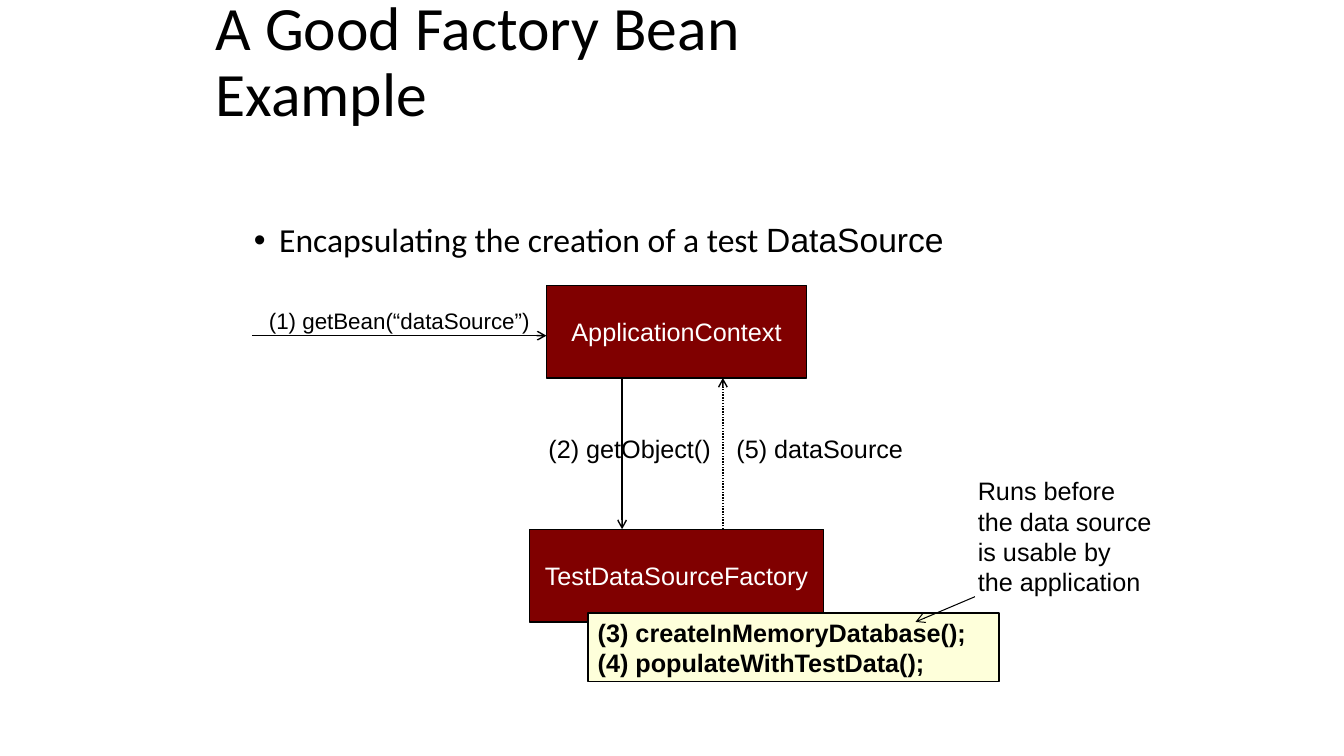
from lxml.etree import SubElement
from pptx import Presentation
from pptx.dml.color import RGBColor
from pptx.enum.dml import MSO_LINE
from pptx.enum.shapes import MSO_CONNECTOR, MSO_SHAPE
from pptx.enum.text import MSO_ANCHOR, PP_ALIGN
from pptx.oxml.ns import qn
from pptx.util import Inches, Pt

BLACK = RGBColor(0x00, 0x00, 0x00)
WHITE = RGBColor(0xFF, 0xFF, 0xFF)
MAROON = RGBColor(0x80, 0x00, 0x00)
CREAM = RGBColor(0xFE, 0xFF, 0xDA)


class Deck:
    """Holds the text style and the current slide, and adds elements to it."""

    style = {"name": "Arial", "size": Pt(18), "bold": False}

    def __init__(self, prs):
        self.s = prs.slides.add_slide(prs.slide_layouts[6])

    def fill_text(self, tf, lines, color=BLACK, wrap=True, anchor=MSO_ANCHOR.TOP, para=None, **style):
        tf.word_wrap, tf.vertical_anchor = wrap, anchor
        for i, line in enumerate(lines):
            p = tf.add_paragraph() if i else tf.paragraphs[0]
            for key, value in (para or {}).items():
                setattr(p, key, value)
            for text, font in line if isinstance(line, list) else [(line, {})]:
                r = p.add_run()
                r.text = text
                r.font.color.rgb = color
                for key, value in {**self.style, **style, **font}.items():
                    setattr(r.font, key, value)

    def text(self, at, *lines, **kw):
        tf = self.s.shapes.add_textbox(*map(Inches, at)).text_frame
        self.fill_text(tf, lines, **kw)
        return tf

    def bullet(self, at, line, **kw):
        pPr = self.text(at, line, **kw).paragraphs[0]._p.get_or_add_pPr()
        pPr.set("marL", str(Inches(0.25)))
        pPr.set("indent", str(-Inches(0.25)))
        SubElement(pPr, qn("a:buFont"), typeface="Arial")
        SubElement(pPr, qn("a:buChar"), char="•")

    def box(self, at, fill, *lines, **kw):
        sp = self.s.shapes.add_shape(MSO_SHAPE.RECTANGLE, *map(Inches, at))
        sp.shadow.inherit = False
        sp.fill.solid()
        sp.fill.fore_color.rgb = fill
        sp.line.color.rgb, sp.line.width = BLACK, Pt(1)
        self.fill_text(sp.text_frame, lines, anchor=MSO_ANCHOR.MIDDLE, **kw)

    def arrow(self, start, end, width=1, dash=None):
        ends = map(Inches, (*start, *end))
        c = self.s.shapes.add_connector(MSO_CONNECTOR.STRAIGHT, *ends)
        c.line.color.rgb, c.line.width = BLACK, Pt(width)
        if dash:
            c.line.dash_style = dash
        spPr = c._element.spPr
        SubElement(spPr.get_or_add_ln(), qn("a:tailEnd"), type="arrow")
        SubElement(spPr, qn("a:effectLst"))


prs = Presentation()
prs.slide_width, prs.slide_height = Inches(13.33), Inches(7.5)
deck = Deck(prs)
centered = {"alignment": PP_ALIGN.CENTER}
left = {"alignment": PP_ALIGN.LEFT}

deck.text((2.04, -0.09, 6.88, 1.44), "A Good Factory Bean Example", name="Calibri",
          size=Pt(44), anchor=MSO_ANCHOR.MIDDLE, para={"line_spacing": 0.9})
deck.bullet((2.42, 2.17, 8.67, 0.47),
            [("Encapsulating the creation of a test ", {"name": "Calibri"}), ("DataSource", {})],
            size=Pt(24), para={"line_spacing": 0.9, "space_before": Pt(6)})

for at, name in [((5.42, 2.83, 2.58, 0.92), "ApplicationContext"),
                 ((5.25, 5.25, 2.92, 0.92), "TestDataSourceFactory")]:
    deck.box(at, MAROON, name, color=WHITE, para=centered)

for start, end, dash, at, call, size in [
    ((2.5, 3.33), (5.42, 3.33), None, (2.5, 3, 2.92, 0.36), "(1) getBean(“dataSource”)", 16),
    ((6.17, 3.75), (6.17, 5.25), None, (5.33, 4.25, 1.83, 0.39), "(2) getObject()", 18),
    ((7.17, 5.25), (7.17, 3.75), MSO_LINE.ROUND_DOT, (7.17, 4.25, 1.92, 0.39), "(5) dataSource", 18),
]:
    deck.arrow(start, end, dash=dash)
    deck.text(at, call, size=Pt(size), wrap=False, para=centered)

deck.box((5.83, 6.08, 4.08, 0.68), CREAM, "(3) createInMemoryDatabase();",
         "(4) populateWithTestData();", bold=True, para=left)
deck.arrow((9.67, 5.92), (9.08, 6.17), width=0.75)
deck.text((9.6, 4.67, 1.94, 1.26), "Runs before", "the data source", "is usable by",
          "the application", wrap=False, para=left)

prs.save("out.pptx")
